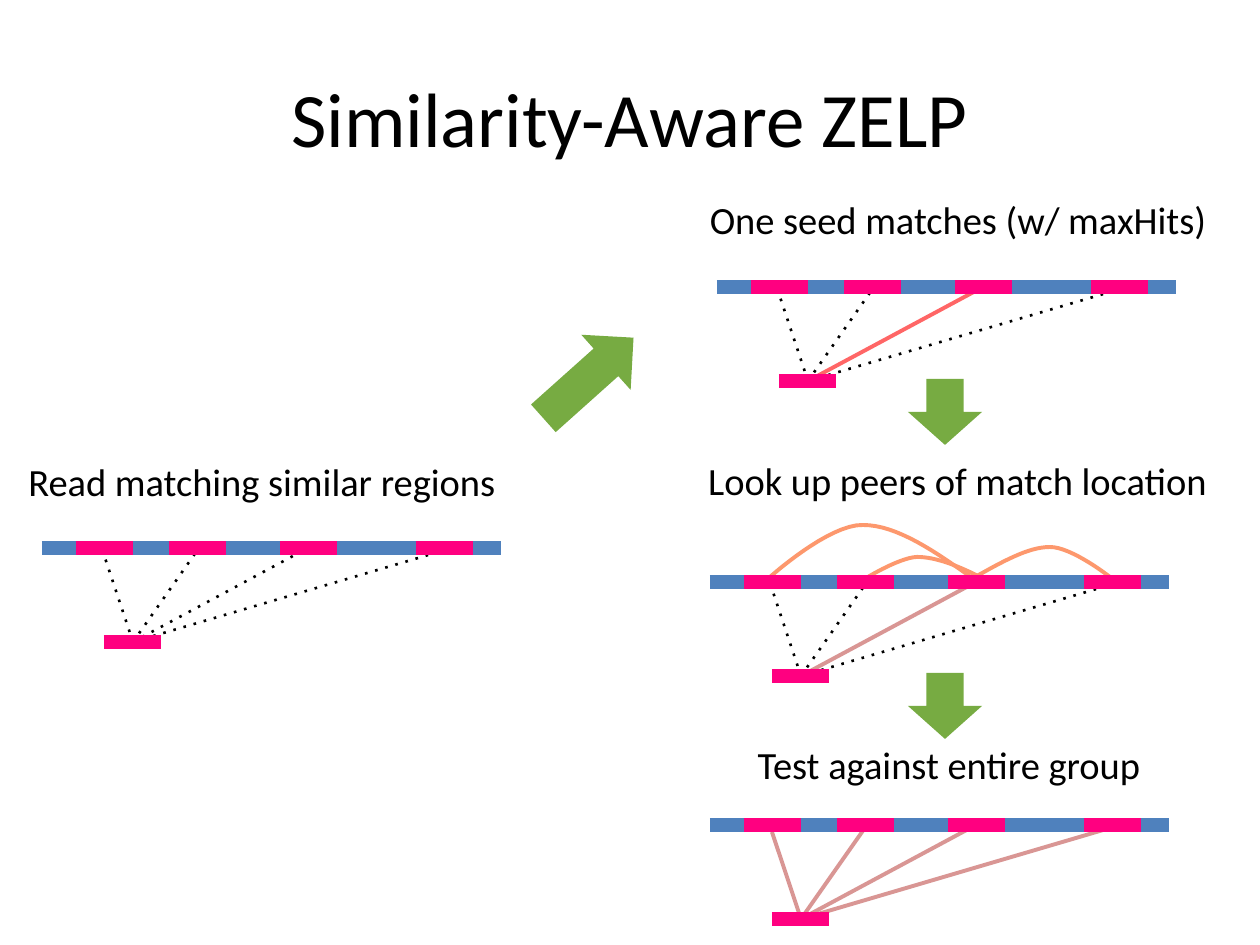
from pptx import Presentation
from pptx import util as u
from pptx.dml.color import RGBColor
from pptx.enum import dml, shapes, text
from pptx.oxml.ns import qn
from lxml import etree

SCALE = 914400 / 126
BLACK, BLUE, PINK, GREEN = "000000", "4F81BD", "FF0080", "77AB42"
RED, ROSE, PEACH = "FF6666", "D99694", "FD986D"
DOT, LEFT, MID = (BLACK, 1.5), text.PP_ALIGN.LEFT, text.PP_ALIGN.CENTER

deck = Presentation()
deck.slide_width, deck.slide_height = u.Inches(10), u.Inches(7.5)
slide = deck.slides.add_slide(deck.slide_layouts[6])


def emu(*spots):
    return [round(spot * SCALE) for spot in spots]


def paint(item, color):
    item.rgb = RGBColor.from_string(color)


labels = [
    ("Similarity-Aware ZELP", 63, 38, 1134, 158, 44, MID),
    ("Read matching similar regions", 16, 452, 494, 59, 22, LEFT),
    ("One seed matches (w/ maxHits)", 690, 190, 536, 59, 22, MID),
    ("Look up peers of match location", 688, 451, 539, 59, 22, MID),
    ("Test against entire group", 743, 735, 412, 59, 22, MID),
]
for words, x, y, w, h, size, align in labels:
    frame = slide.shapes.add_textbox(*emu(x, y, w, h)).text_frame
    frame.word_wrap = size == 44
    if size == 44:
        frame.vertical_anchor = text.MSO_ANCHOR.MIDDLE
    else:
        frame.auto_size = text.MSO_AUTO_SIZE.SHAPE_TO_FIT_TEXT
    par = frame.paragraphs[0]
    par.text, par.alignment = words, align
    par.font.name, par.font.size = "Calibri", u.Pt(size)
    paint(par.font.color, BLACK)

curves = [
    [(975, 577), (1002, 562), (1028, 547), (1050, 547), (1072, 547), (1110, 577), (1110, 577)],
    [(978, 576), (958, 566), (936, 557), (917, 557), (898, 558), (863, 580), (863, 580)],
    [(975, 580), (936, 552), (897, 525), (863, 525), (829, 524), (770, 577), (770, 577)],
]
STEPS = 16
for curve in curves:
    pen = slide.shapes.build_freeform(*emu(*curve[0]), scale=1.0)
    dots = []
    for first in (0, 3):
        for step in range(1, STEPS + 1):
            t = step / STEPS
            parts = ((1 - t) ** 3, 3 * t * (1 - t) ** 2, 3 * t * t * (1 - t), t ** 3)
            ends = curve[first:first + 4]
            dots.append(emu(*(sum(p * e[axis] for p, e in zip(parts, ends)) for axis in (0, 1))))
    pen.add_line_segments(dots, close=False)
    arc = pen.convert_to_shape()
    arc.shadow.inherit = False
    arc.fill.background()
    paint(arc.line.color, PEACH)
    arc.line.width = u.Pt(2.25)

GAP = 94
marks = (34, 127, 238, 374)
ends = ((62, 7), (157, 0), (266, 0), (417, -2))
panels = [
    (42, 548, [DOT] * 4),
    (717, 287, [DOT, DOT, (RED, 2.25), DOT]),
    (710, 582, [DOT, DOT, (ROSE, 2.25), DOT]),
    (710, 825, [(ROSE, 2.25)] * 4),
]
for x, y, looks in panels:
    lines = [(91, GAP, *end, *look) for end, look in zip(ends, looks)]
    lines.append((0, 0, 459, 0, BLUE, 8))
    lines += [(mark, 0, mark + 57, 0, PINK, 8) for mark in marks]
    lines.append((62, GAP, 119, GAP, PINK, 8))
    for x1, y1, x2, y2, color, width in lines:
        line = slide.shapes.add_connector(
            shapes.MSO_CONNECTOR.STRAIGHT, *emu(x + x1, y + y1, x + x2, y + y2))
        paint(line.line.color, color)
        line.line.width = u.Pt(width)
        if (color, width) == DOT:
            line.line.dash_style = dml.MSO_LINE.ROUND_DOT
            line.line._ln.find(qn("a:prstDash")).set("val", "dot")
        etree.SubElement(line._element.spPr, qn("a:effectLst"))

arrows = [(528, 341, 121, 74, 318.2), (912, 375, 66, 74, 90), (912, 669, 66, 74, 90)]
for x, y, w, h, turn in arrows:
    arrow = slide.shapes.add_shape(shapes.MSO_SHAPE.RIGHT_ARROW, *emu(x, y, w, h))
    arrow.rotation = turn
    arrow.shadow.inherit = False
    arrow.fill.solid()
    paint(arrow.fill.fore_color, GREEN)
    arrow.line.fill.background()

deck.save("out.pptx")
